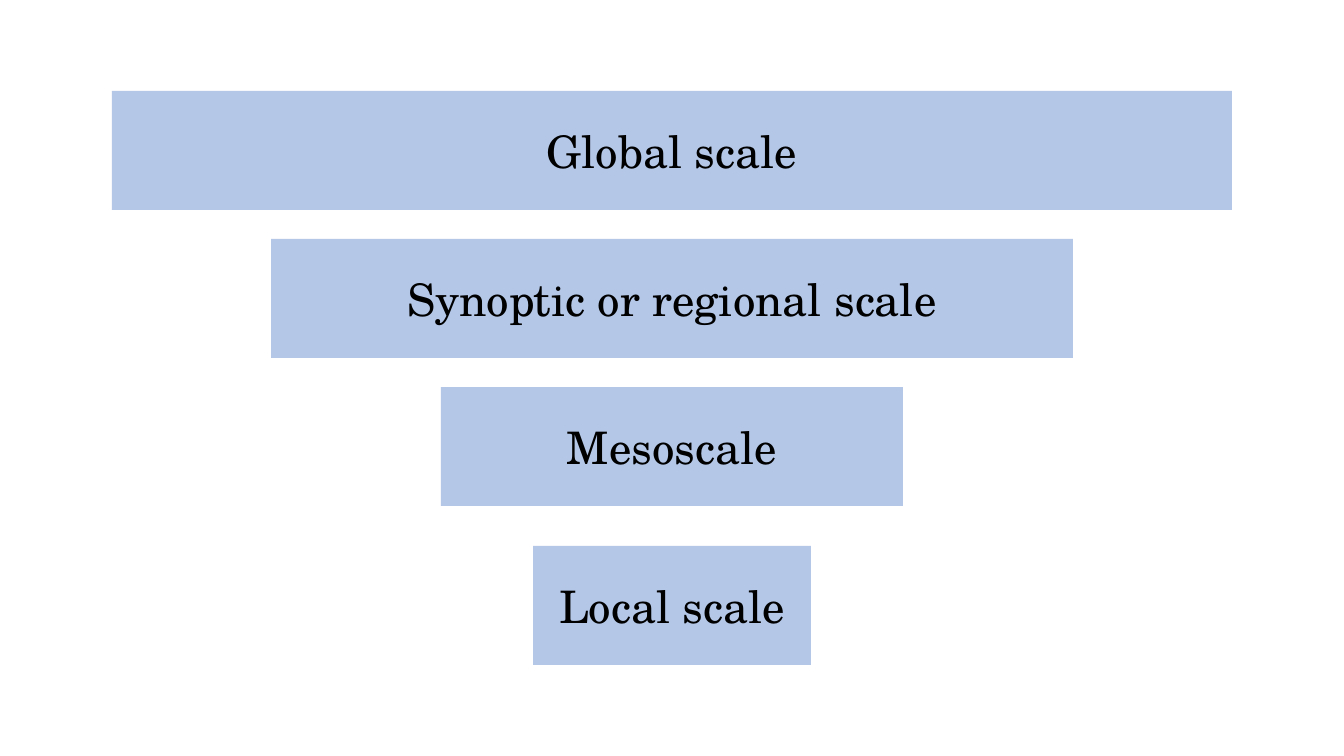
from pptx import Presentation
from pptx.dml.color import RGBColor
from pptx.enum.shapes import MSO_SHAPE
from pptx.enum.text import MSO_ANCHOR, PP_ALIGN
from pptx.util import Pt

# Content: label, top and width of each bar in px
SCALES = [
    ("Global scale", 91, 1120),
    ("Synoptic or regional scale", 239, 802),
    ("Mesoscale", 387, 462),
    ("Local scale", 546, 278),
]
COLOURS = {"bar": "B4C7E7", "text": "000000"}
FONT = "TeX Gyre Schola"
SLIDE_WIDTH, SLIDE_HEIGHT = 1344, 756
BAR_HEIGHT = 119
EMU_PER_PX = 914400 / 100.8


def px(length):
    return round(length * EMU_PER_PX)


def add_bar(slide, label, top, width):
    left = (SLIDE_WIDTH - width) / 2
    bar = slide.shapes.add_shape(
        MSO_SHAPE.RECTANGLE, px(left), px(top), px(width), px(BAR_HEIGHT))
    bar.shadow.inherit = False
    bar.fill.solid()
    bar.fill.fore_color.rgb = RGBColor.from_string(COLOURS["bar"])
    bar.line.fill.background()

    # Centred label
    frame = bar.text_frame
    frame.word_wrap = True
    frame.vertical_anchor = MSO_ANCHOR.MIDDLE
    paragraph = frame.paragraphs[0]
    paragraph.text = label
    paragraph.alignment = PP_ALIGN.CENTER
    paragraph.font.name = FONT
    paragraph.font.size = Pt(32)
    paragraph.font.color.rgb = RGBColor.from_string(COLOURS["text"])


def main():
    presentation = Presentation()
    presentation.slide_width = px(SLIDE_WIDTH)
    presentation.slide_height = px(SLIDE_HEIGHT)
    slide = presentation.slides.add_slide(presentation.slide_layouts[6])

    # Bars narrowing from global to local
    for label, top, width in SCALES:
        add_bar(slide, label, top, width)
    presentation.save("out.pptx")


if __name__ == "__main__":
    main()
